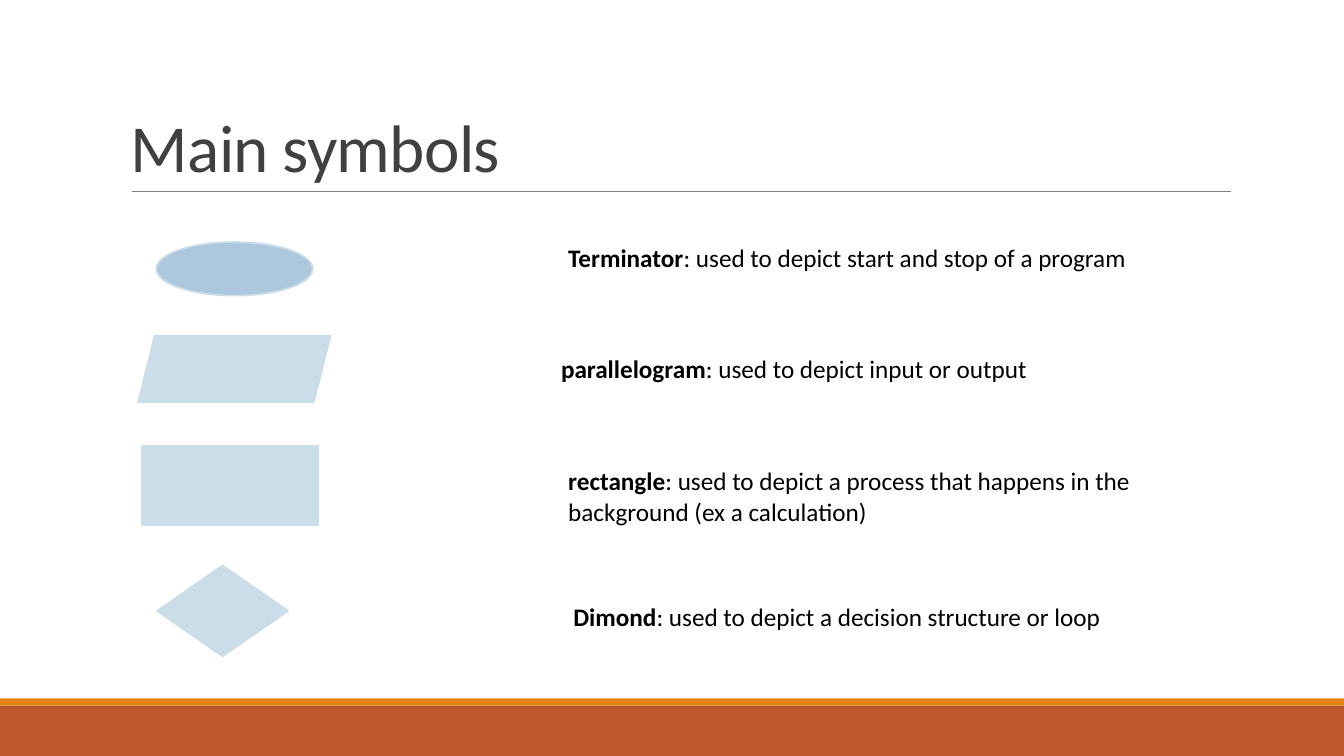
"""Build a slide that explains the main flowchart symbols."""
from lxml import etree
from pptx import Presentation
from pptx.dml.color import RGBColor
from pptx.enum.shapes import MSO_CONNECTOR, MSO_SHAPE
from pptx.enum.text import MSO_ANCHOR
from pptx.oxml.ns import qn
from pptx.util import Cm, Pt

RECTANGLE = MSO_SHAPE.RECTANGLE
ELLIPSE = MSO_SHAPE.OVAL
PARALLELOGRAM = MSO_SHAPE.PARALLELOGRAM
DIAMOND = MSO_SHAPE.FLOWCHART_DECISION
STRAIGHT = MSO_CONNECTOR.STRAIGHT
TOP, BOTTOM = MSO_ANCHOR.TOP, MSO_ANCHOR.BOTTOM

RUST = RGBColor(0xBD, 0x58, 0x2C)
ORANGE = RGBColor(0xE4, 0x83, 0x12)
GREY = RGBColor(0x80, 0x80, 0x80)
CHARCOAL = RGBColor(0x40, 0x40, 0x40)
BLACK = RGBColor(0, 0, 0)
BLUE = RGBColor(0xAD, 0xC8, 0xDD)
PALE_BLUE = RGBColor(0xCC, 0xDD, 0xEA)

FONT = "Calibri"
WIDTH, HEIGHT = 33.87, 19.05
TEXT_WIDTH = 17.02

SYMBOLS = [
    (ELLIPSE, BLUE, (3.94, 6.1, 3.94, 1.35), (14.07, 5.99, TEXT_WIDTH, 1.02),
     "Terminator", ": used to depict start and stop of a program"),
    (PARALLELOGRAM, PALE_BLUE, (3.48, 8.46, 4.85, 1.68), (13.89, 8.79, TEXT_WIDTH, 1.02),
     "parallelogram", ": used to depict input or output"),
    (RECTANGLE, PALE_BLUE, (3.58, 11.23, 4.45, 2.01), (14.07, 11.61, TEXT_WIDTH, 1.8),
     "rectangle",
     ": used to depict a process that happens in the background (ex a calculation)"),
    (DIAMOND, PALE_BLUE, (3.96, 14.25, 3.3, 2.29), (14.2, 15.04, TEXT_WIDTH, 1.02),
     "Dimond", ": used to depict a decision structure or loop"),
]


def add_figure(page, kind, box, fill, outline=None):
    """Draw a filled preset shape in the box, with an optional outline colour."""
    figure = page.shapes.add_shape(kind, *map(Cm, box))
    figure.shadow.inherit = False
    figure.fill.solid()
    figure.fill.fore_color.rgb = fill
    if outline is None:
        figure.line.fill.background()
    else:
        figure.line.color.rgb = outline
        figure.line.width = Pt(1.25)


def add_text(page, box, *parts, size=18, color=BLACK, anchor=TOP, leading=1.0, tracking=0):
    """Write (text, bold) parts as one paragraph in the box."""
    frame = page.shapes.add_textbox(*map(Cm, box)).text_frame
    frame.word_wrap = True
    frame.vertical_anchor = anchor
    para = frame.paragraphs[0]
    para.line_spacing = leading
    for text, bold in parts:
        span = para.add_run()
        span.text = text
        span.font.name = FONT
        span.font.size = Pt(size)
        span.font.bold = bold
        span.font.color.rgb = color
        if tracking:
            span.font._element.set("spc", str(round(tracking * 100)))


def add_footer(page, box, stripe):
    """Fill the box with the footer band, topped by a stripe of the given height."""
    left, top, width, height = box
    add_figure(page, RECTANGLE, (left, top + stripe, width, height - stripe), RUST)
    add_figure(page, RECTANGLE, (left, top, width, stripe), ORANGE)


def add_heading(page, box, title):
    """Place the title at the bottom of the box, with a rule along its lower edge."""
    left, top, width, height = box
    add_text(page, box, (title, False), size=48, color=CHARCOAL,
             anchor=BOTTOM, leading=0.85, tracking=-0.5)
    rule_left, rule_top = left + 0.28, top + height
    rule = page.shapes.add_connector(
        STRAIGHT, Cm(rule_left), Cm(rule_top), Cm(rule_left + 27.68), Cm(rule_top))
    rule.line.color.rgb = GREY
    rule.line.width = Pt(0.5)
    etree.SubElement(rule._element.spPr, qn("a:effectLst"))


def add_symbol(page, kind, fill, figure_box, text_box, name, meaning):
    """Draw one symbol in its box and explain it in the text box."""
    add_figure(page, kind, figure_box, fill, PALE_BLUE)
    add_text(page, text_box, (name, True), (meaning, False))


def main():
    """Build and save the deck."""
    deck = Presentation()
    deck.slide_width, deck.slide_height = Cm(WIDTH), Cm(HEIGHT)
    page = deck.slides.add_slide(deck.slide_layouts[6])
    add_footer(page, (0, 17.6, WIDTH, HEIGHT - 17.6), 0.18)
    add_heading(page, (3.05, 0.79, 27.94, 4.03), "Main symbols")
    for symbol in SYMBOLS:
        add_symbol(page, *symbol)
    deck.save("out.pptx")


if __name__ == "__main__":
    main()
